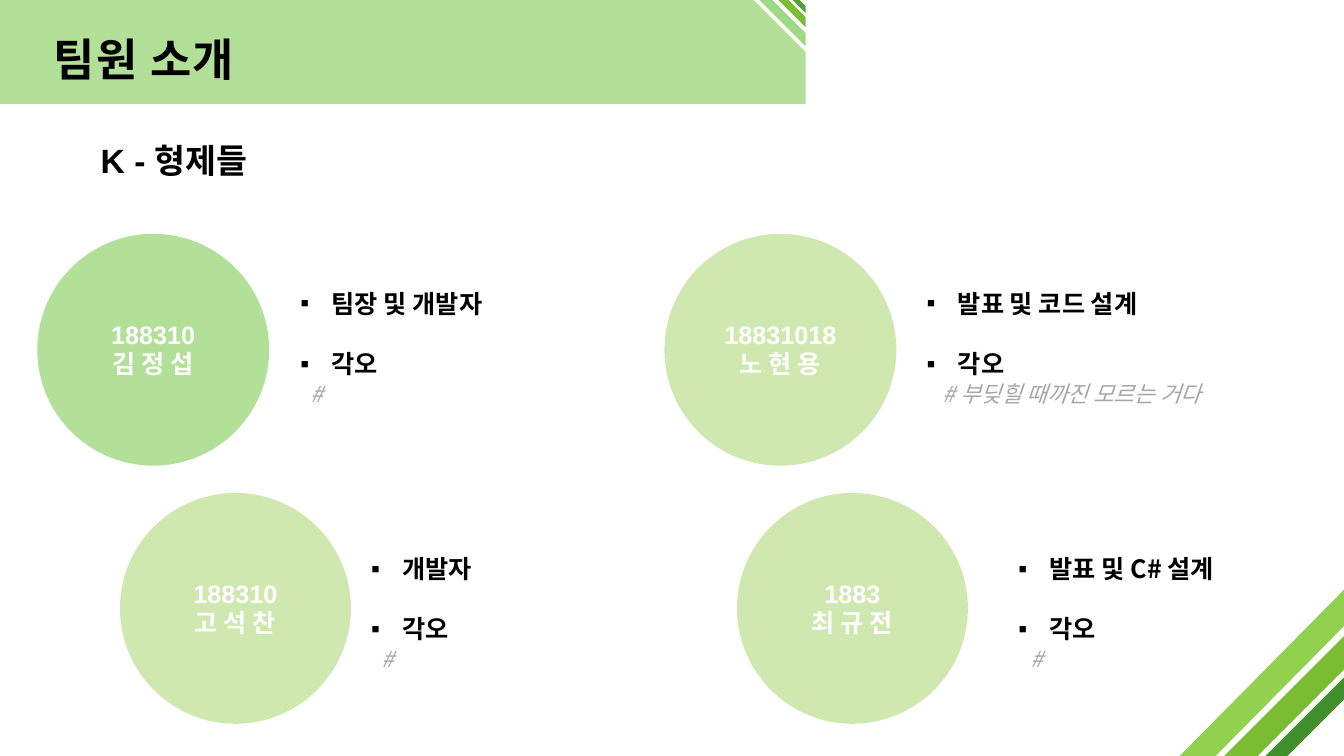
"""Build the team introduction slide with four members and their roles."""
from lxml import etree
from pptx import Presentation
from pptx.dml.color import RGBColor
from pptx.enum.shapes import MSO_SHAPE
from pptx.enum.text import MSO_ANCHOR, MSO_AUTO_SIZE, PP_ALIGN
from pptx.oxml.ns import qn
from pptx.util import Inches, Pt

SNIPPED, OVAL, STRIPE = MSO_SHAPE.SNIP_1_RECTANGLE, MSO_SHAPE.OVAL, MSO_SHAPE.DIAGONAL_STRIPE
TOP, MIDDLE, BOTTOM = MSO_ANCHOR.TOP, MSO_ANCHOR.MIDDLE, MSO_ANCHOR.BOTTOM
LEFT, CENTER = PP_ALIGN.LEFT, PP_ALIGN.CENTER
NO_AUTOFIT = MSO_AUTO_SIZE.NONE

BLACK = RGBColor(0x00, 0x00, 0x00)
WHITE = RGBColor(0xFF, 0xFF, 0xFF)
GRAY = RGBColor(0xA6, 0xA6, 0xA6)
LEADER_GREEN = RGBColor(0xB2, 0xE0, 0x98)
MEMBER_GREEN = RGBColor(0xCE, 0xE8, 0xB0)
PALE_GREEN = RGBColor(0x9E, 0xDA, 0x86)
LIME = RGBColor(0x92, 0xD0, 0x50)
LEAF = RGBColor(0x7A, 0xBC, 0x32)
MOSS = RGBColor(0x52, 0xA0, 0x36)
FOREST = RGBColor(0x41, 0x90, 0x2C)

KOREAN, LATIN = "Noto Sans CJK KR", "Arial"
WIDTH, HEIGHT = 13.33, 7.5
BAND_WIDTH, BAND_HEIGHT = 7.99, 1.03
COMPARISON_LAYOUT = 4
LIST_INDENT = 0.31

TITLE = "팀원 소개"
TEAM = "K - 형제들"
RESOLVE = "각오"

ROWS = [
    {"circle_top": 2.32, "diameter": 2.3, "list_top": 2.8},
    {"circle_top": 4.89, "diameter": 2.29, "list_top": 5.43},
]
# row, circle left, fill, number, name, list left, list width, role, motto, motto indent
MEMBERS = [
    (0, 0.37, LEADER_GREEN, "188310", "김 정 섭", 2.88, 2.18, "팀장 및 개발자", "#", 0.1),
    (1, 1.19, MEMBER_GREEN, "188310", "고 석 찬", 3.58, 1.27, "개발자", "#", 0.1),
    (1, 7.31, MEMBER_GREEN, "1883", "최 규 전", 10, 2.31, "발표 및 C# 설계", "#", 0.12),
    (0, 6.59, MEMBER_GREEN, "18831018", "노 현 용", 9.09, 3.36, "발표 및 코드 설계",
     "# 부딪힐 때까진 모르는 거다", 0.16),
]
BAND_STRIPES = [(0.46, 0.46, 0.72, PALE_GREEN), (0.27, 0.27, 0.635, LEAF), (0.13, 0.13, 0.455, MOSS)]
CORNER_STRIPES = [(1.63, 1.65, 0.781, LIME), (1.19, 1.19, 0.721, LEAF), (0.78, 0.78, 0.721, FOREST)]


def place(shape, left, top, width, height):
    shape.left, shape.top = Inches(left), Inches(top)
    shape.width, shape.height = Inches(width), Inches(height)


def set_frame(shape, anchor=TOP, insets=(0.1, 0.05, 0.1, 0.05)):
    frame = shape.text_frame
    frame.word_wrap = True
    frame.auto_size = NO_AUTOFIT
    frame.vertical_anchor = anchor
    frame.margin_left, frame.margin_top, frame.margin_right, frame.margin_bottom = map(Inches, insets)
    return frame


def write(frame, text, size=18, color=BLACK, font=KOREAN, bold=True, italic=False, align=LEFT,
          line=21.5, before=0, indent=0, bullet=None, spacing=None):
    """Append one formatted paragraph to a text frame."""
    first = frame.paragraphs[0]
    paragraph = frame.add_paragraph() if first.runs else first
    paragraph.alignment = align
    paragraph.line_spacing, paragraph.space_before, paragraph.space_after = Pt(line), Pt(before), Pt(0)
    properties = paragraph._p.get_or_add_pPr()
    properties.set("marL", str(Inches(indent)))
    properties.set("indent", str(-Inches(indent) if bullet else 0))
    if bullet:
        etree.SubElement(properties, qn("a:buFont"), typeface=LATIN)
        etree.SubElement(properties, qn("a:buChar"), char=bullet)
    else:
        etree.SubElement(properties, qn("a:buNone"))
    run = paragraph.add_run()
    run.text = text
    run.font.size, run.font.bold, run.font.italic = Pt(size), bold, italic
    run.font.color.rgb = color
    run.font.name = font
    run_properties = run._r.get_or_add_rPr()
    etree.SubElement(run_properties, qn("a:ea"), typeface=KOREAN)
    if spacing:
        run_properties.set("spc", str(spacing))


def add_filled(shapes, preset, left, top, width, height, fill, adjustment=None, rotation=0):
    shape = shapes.add_shape(preset, Inches(left), Inches(top), Inches(width), Inches(height))
    shape.shadow.inherit = False
    shape.fill.solid()
    shape.fill.fore_color.rgb = fill
    shape.line.fill.background()
    shape.rotation = rotation
    if adjustment is not None:
        shape.adjustments[0] = adjustment
    return shape


def main():
    deck = Presentation()
    deck.slide_width, deck.slide_height = Inches(WIDTH), Inches(HEIGHT)
    slide = deck.slides.add_slide(deck.slide_layouts[COMPARISON_LAYOUT])
    shapes = slide.shapes

    band = add_filled(shapes, SNIPPED, 0, 0, BAND_WIDTH, BAND_HEIGHT, LEADER_GREEN, 0.5)
    shapes.title._element.addprevious(band._element)
    place(shapes.title, 0.41, 0.12, 6, 0.8)
    write(set_frame(shapes.title, BOTTOM, (0.12, 0.12, 0.12, 0.07)), TITLE, size=32, line=38, spacing=100)

    role_lists = [holder for holder in slide.placeholders if holder.placeholder_format.idx]
    for role_list, member in zip(role_lists, MEMBERS):
        row, circle_left, fill, number, name, list_left, list_width, role, motto, motto_indent = member
        grid = ROWS[row]
        circle = add_filled(shapes, OVAL, circle_left, grid["circle_top"],
                            grid["diameter"], grid["diameter"], fill)
        label = set_frame(circle, MIDDLE)
        for text in (number, name):
            write(label, text, color=WHITE, font=LATIN, align=CENTER, line=20.7)

        place(role_list, list_left, grid["list_top"], list_width, 1.31)
        roles = set_frame(role_list, insets=(0.1, 0.06, 0, 0.05))
        write(roles, role, indent=LIST_INDENT, bullet="▪")
        write(roles, RESOLVE, indent=LIST_INDENT, bullet="▪", before=21.5)
        write(roles, motto, size=16, color=GRAY, bold=False, italic=True, indent=motto_indent, line=20)

    for width, height, adjustment, fill in BAND_STRIPES:
        add_filled(shapes, STRIPE, BAND_WIDTH - width, 0, width, height, fill, adjustment, 90)
    corner = shapes.add_group_shape().shapes
    for width, height, adjustment, fill in CORNER_STRIPES:
        add_filled(corner, STRIPE, WIDTH - width, HEIGHT - height, width, height, fill, adjustment, 180)

    team = shapes.add_textbox(Inches(0.9), Inches(1.32), Inches(1.75), Inches(0.5))
    write(set_frame(team, insets=(0.1, 0.08, 0, 0.05)), TEAM, size=24, font=LATIN, line=28)

    deck.save("out.pptx")


if __name__ == "__main__":
    main()
